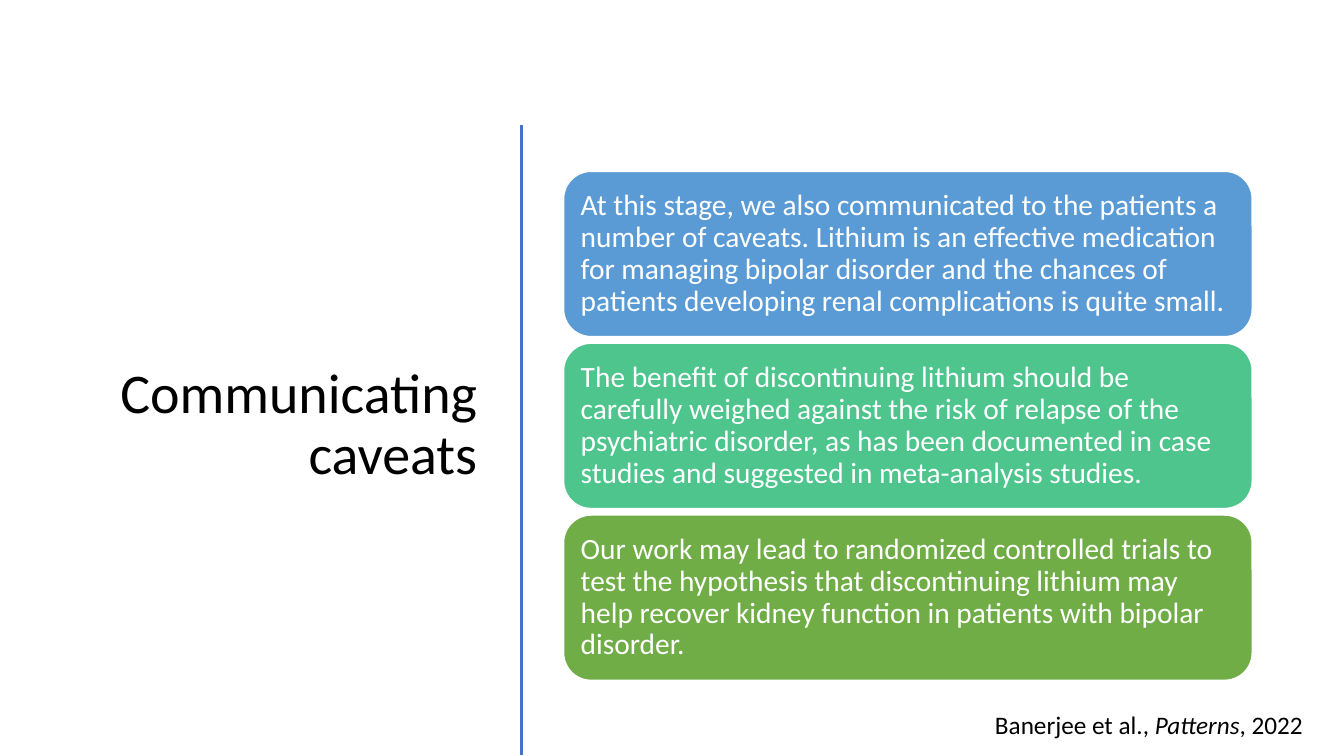
from lxml.etree import SubElement
from pptx import Presentation
from pptx.dml.color import RGBColor
from pptx.enum.shapes import MSO_CONNECTOR, MSO_SHAPE
from pptx.enum.text import MSO_ANCHOR, PP_ALIGN
from pptx.oxml.ns import qn
from pptx.util import Inches, Pt

FONT = "Calibri"
COLORS = {
    "text": "000000",
    "white": "FFFFFF",
    "divider": "4472C4",
    "blue": "5B9BD5",
    "teal": "4DC58D",
    "green": "70AD47",
}
CAVEATS = [
    ("blue", "At this stage, we also communicated to the patients a number of caveats. "
             "Lithium is an effective medication for managing bipolar disorder and the "
             "chances of patients developing renal complications is quite small."),
    ("teal", "The benefit of discontinuing lithium should be carefully weighed against "
             "the risk of relapse of the psychiatric disorder, as has been documented in "
             "case studies and suggested in meta-analysis studies."),
    ("green", "Our work may lead to randomized controlled trials to test the hypothesis "
              "that discontinuing lithium may help recover kidney function in patients "
              "with bipolar disorder."),
]
CARD_LEFT, CARD_TOP, CARD_WIDTH, CARD_HEIGHT = 5.59, 1.7, 6.83, 1.64
CARD_PITCH = 1.705
CARD_INSET = 0.09


def color(name):
    return RGBColor.from_string(COLORS[name])


def add_run(paragraph, text, size, color_name, italic=False):
    run = paragraph.add_run()
    run.text = text
    run.font.name = FONT
    run.font.size = Pt(size)
    run.font.italic = italic
    run.font.color.rgb = color(color_name)


def add_text_box(slide, left, top, width, height):
    frame = slide.shapes.add_textbox(
        Inches(left), Inches(top), Inches(width), Inches(height)).text_frame
    frame.word_wrap = True
    return frame


def add_title(slide):
    frame = add_text_box(slide, 0.52, 1.17, 4.31, 6.11)
    frame.vertical_anchor = MSO_ANCHOR.MIDDLE
    heading = frame.paragraphs[0]
    heading.alignment = PP_ALIGN.RIGHT
    heading.line_spacing = 0.9
    add_run(heading, "Communicating caveats", 40, "text")


def add_divider(slide):
    divider = slide.shapes.add_connector(
        MSO_CONNECTOR.STRAIGHT, Inches(5.17), Inches(1.24), Inches(5.17), Inches(7.49))
    divider.line.color.rgb = color("divider")
    divider.line.width = Pt(2)
    SubElement(divider._element.spPr, qn("a:effectLst"))


def add_citation(slide):
    citation = add_text_box(slide, 9.77, 6.99, 3.42, 0.4).paragraphs[0]
    add_run(citation, "Banerjee et al., ", 18, "text")
    add_run(citation, "Patterns", 18, "text", italic=True)
    add_run(citation, ", 2022", 18, "text")


def add_caveat(slide, top, fill, text):
    card = slide.shapes.add_shape(
        MSO_SHAPE.ROUNDED_RECTANGLE, Inches(CARD_LEFT), Inches(top),
        Inches(CARD_WIDTH), Inches(CARD_HEIGHT))
    card.shadow.inherit = False
    card.fill.solid()
    card.fill.fore_color.rgb = color(fill)
    card.line.color.rgb = color("white")
    card.line.width = Pt(1)
    frame = card.text_frame
    frame.word_wrap = True
    frame.vertical_anchor = MSO_ANCHOR.MIDDLE
    frame.margin_left = frame.margin_right = Inches(CARD_INSET)
    frame.margin_top = frame.margin_bottom = Inches(CARD_INSET)
    caveat = frame.paragraphs[0]
    caveat.alignment = PP_ALIGN.LEFT
    caveat.line_spacing = 0.9
    add_run(caveat, text, 21, "white")


def main():
    prs = Presentation()
    prs.slide_width, prs.slide_height = Inches(13.33), Inches(7.5)
    slide = prs.slides.add_slide(prs.slide_layouts[6])
    add_title(slide)
    add_divider(slide)
    add_citation(slide)
    for row, (fill, text) in enumerate(CAVEATS):
        add_caveat(slide, CARD_TOP + row * CARD_PITCH, fill, text)
    prs.save("out.pptx")


if __name__ == "__main__":
    main()
